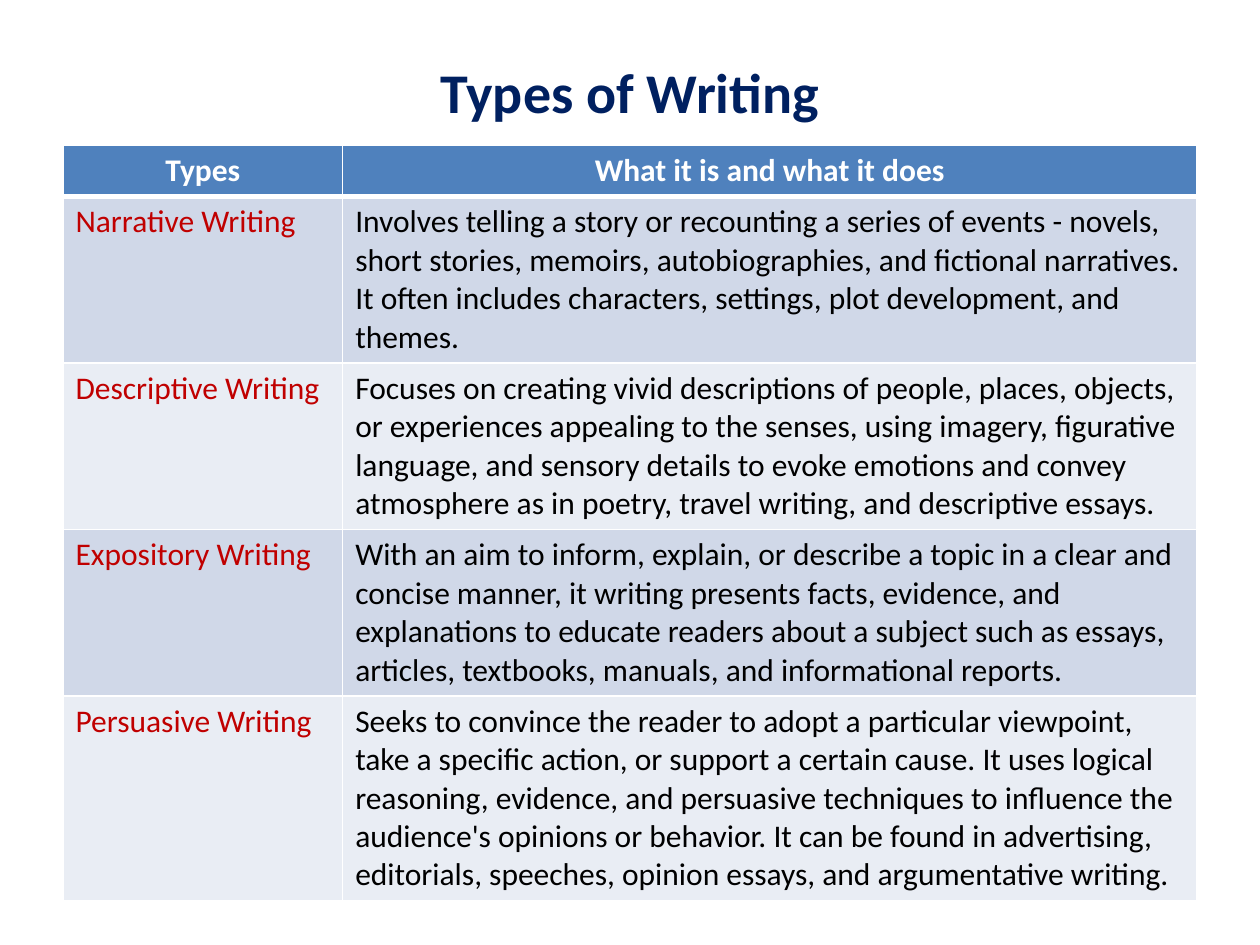
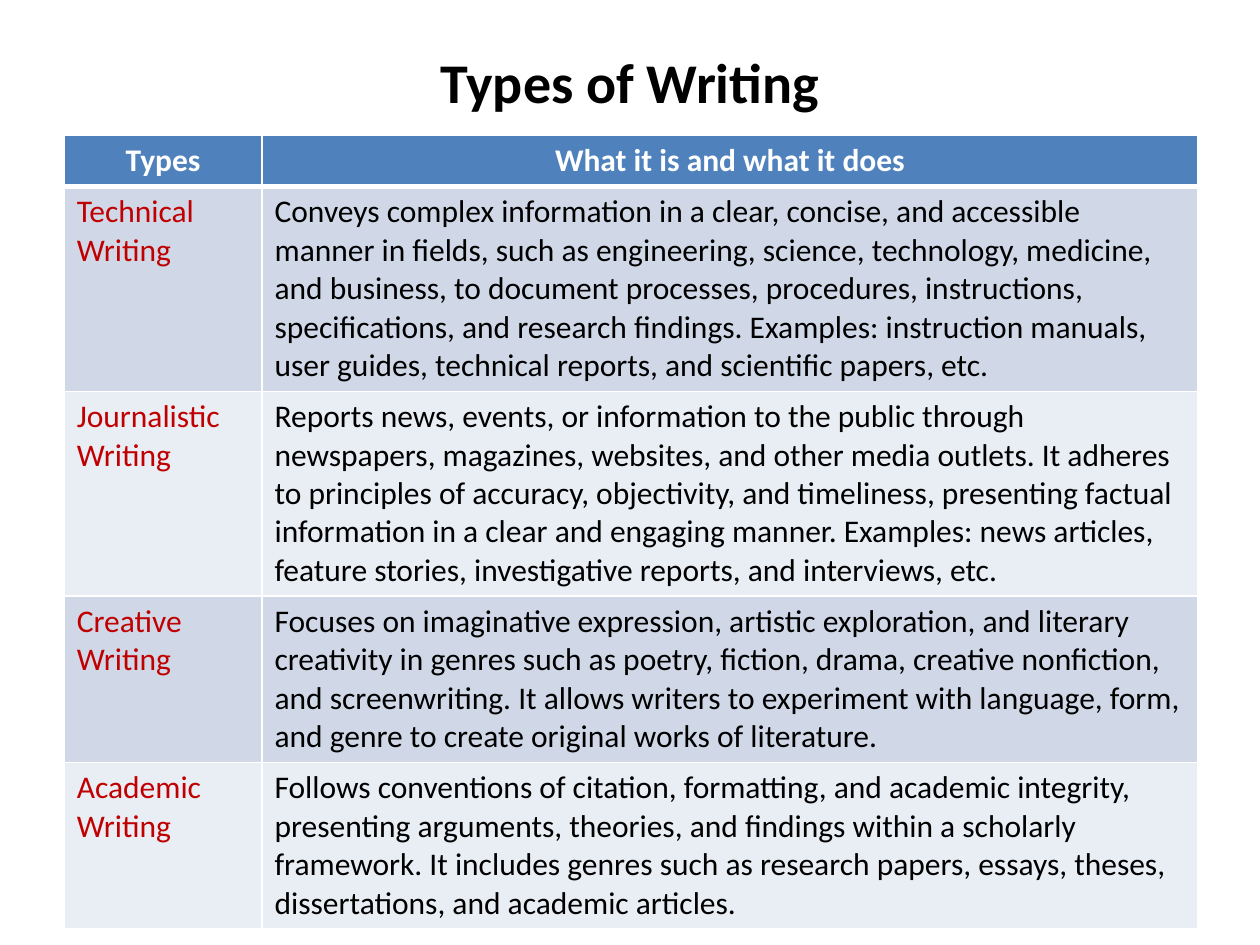
from lxml.etree import SubElement
from pptx import Presentation
from pptx.dml.color import RGBColor
from pptx.enum.text import MSO_ANCHOR, PP_ALIGN
from pptx.oxml.ns import qn
from pptx.util import Inches, Pt

COLORS = {
    "navy": "002060", "black": "000000", "white": "FFFFFF", "red": "C00000",
    "head": "4F81BD", "odd": "D0D8E8", "even": "E9EDF4",
}
HEADS = ("Types", "What it is and what it does")
HEAD_H = 0.41
HEIGHTS = {4: 1.32, 5: 1.62}  # row height by number of text lines

SLIDES = [
    {
        "color": "navy", "title_h": 0.85, "left": 0.5, "top": 1.15,
        "cols": (2.22, 6.78),
        "rows": [
            ("Narrative Writing", 4,
             "Involves telling a story or recounting a series of events - novels, short stories, "
             "memoirs, autobiographies, and fictional narratives. It often includes characters, "
             "settings, plot development, and themes."),
            ("Descriptive Writing", 4,
             "Focuses on creating vivid descriptions of people, places, objects, or experiences "
             "appealing to the senses, using imagery, figurative language, and sensory details to "
             "evoke emotions and convey atmosphere as in poetry, travel writing, and descriptive "
             "essays."),
            ("Expository Writing", 4,
             "With an aim to inform, explain, or describe a topic in a clear and concise manner, "
             "it writing presents facts, evidence, and explanations to educate readers about a "
             "subject such as essays, articles, textbooks, manuals, and informational reports."),
            ("Persuasive Writing", 5,
             "Seeks to convince the reader to adopt a particular viewpoint, take a specific "
             "action, or support a certain cause. It uses logical reasoning, evidence, and "
             "persuasive techniques to influence the audience's opinions or behavior. It can be "
             "found in advertising, editorials, speeches, opinion essays, and argumentative "
             "writing."),
        ],
    },
    {
        "color": "black", "title_h": 0.69, "left": 0.51, "top": 1.07,
        "cols": (1.57, 7.43),
        "rows": [
            ("Technical Writing", 5,
             "Conveys complex information in a clear, concise, and accessible manner in fields, "
             "such as engineering, science, technology, medicine, and business, to document "
             "processes, procedures, instructions, specifications, and research findings. "
             "Examples: instruction manuals, user guides, technical reports, and scientific "
             "papers, etc."),
            ("Journalistic Writing", 5,
             "Reports news, events, or information to the public through newspapers, magazines, "
             "websites, and other media outlets. It adheres to principles of accuracy, "
             "objectivity, and timeliness, presenting factual information in a clear and engaging "
             "manner. Examples: news articles, feature stories, investigative reports, and "
             "interviews, etc."),
            ("Creative Writing", 4,
             "Focuses on imaginative expression, artistic exploration, and literary creativity in "
             "genres such as poetry, fiction, drama, creative nonfiction, and screenwriting. It "
             "allows writers to experiment with language, form, and genre to create original "
             "works of literature."),
            ("Academic Writing", 4,
             "Follows conventions of citation, formatting, and academic integrity, presenting "
             "arguments, theories, and findings within a scholarly framework. It includes genres "
             "such as research papers, essays, theses, dissertations, and academic articles."),
        ],
    },
]


def write(frame, text, color="black", size=18, bold=False, align=PP_ALIGN.LEFT):
    para = frame.paragraphs[0]
    para.alignment = align
    run = para.add_run()
    run.text = text
    run.font.name = "Calibri"
    run.font.size = Pt(size)
    run.font.bold = bold
    run.font.color.rgb = RGBColor.from_string(COLORS[color])


def paint(cell, fill, top=1, bottom=1):
    """Give a cell its fill and white borders; widths are in points."""
    props = cell._tc.get_or_add_tcPr()
    for side, width in (("L", 1), ("R", 1), ("T", top), ("B", bottom)):
        line = SubElement(props, qn(f"a:ln{side}"), w=str(Pt(width)))
        solid = SubElement(line, qn("a:solidFill"))
        SubElement(solid, qn("a:srgbClr"), val=COLORS["white"])
    cell.fill.solid()
    cell.fill.fore_color.rgb = RGBColor.from_string(COLORS[fill])


deck = Presentation()
deck.slide_width, deck.slide_height = Inches(10), Inches(7.5)

for page in SLIDES:
    slide = deck.slides.add_slide(deck.slide_layouts[5])
    title = slide.shapes.title
    title.left, title.top = Inches(0.5), Inches(0.3)
    title.width, title.height = Inches(9), Inches(page["title_h"])
    title.text_frame.vertical_anchor = MSO_ANCHOR.MIDDLE
    write(title.text_frame, "Types of Writing", color=page["color"], size=32,
          bold=True, align=PP_ALIGN.CENTER)

    rows = page["rows"]
    heights = [HEAD_H] + [HEIGHTS[lines] for _, lines, _ in rows]
    table = slide.shapes.add_table(
        len(heights), len(HEADS), Inches(page["left"]), Inches(page["top"]),
        Inches(sum(page["cols"])), Inches(sum(heights))).table
    for col, width in zip(table.columns, page["cols"]):
        col.width = Inches(width)
    for row, height in zip(table.rows, heights):
        row.height = Inches(height)

    for col, head in enumerate(HEADS):
        cell = table.cell(0, col)
        paint(cell, "head", bottom=3)
        write(cell.text_frame, head, color="white", bold=True, align=PP_ALIGN.CENTER)
    for num, (kind, _, about) in enumerate(rows, 1):
        for col, (text, color) in enumerate(((kind, "red"), (about, "black"))):
            cell = table.cell(num, col)
            paint(cell, "odd" if num % 2 else "even", top=3 if num == 1 else 1)
            write(cell.text_frame, text, color=color)

deck.save("out.pptx")
